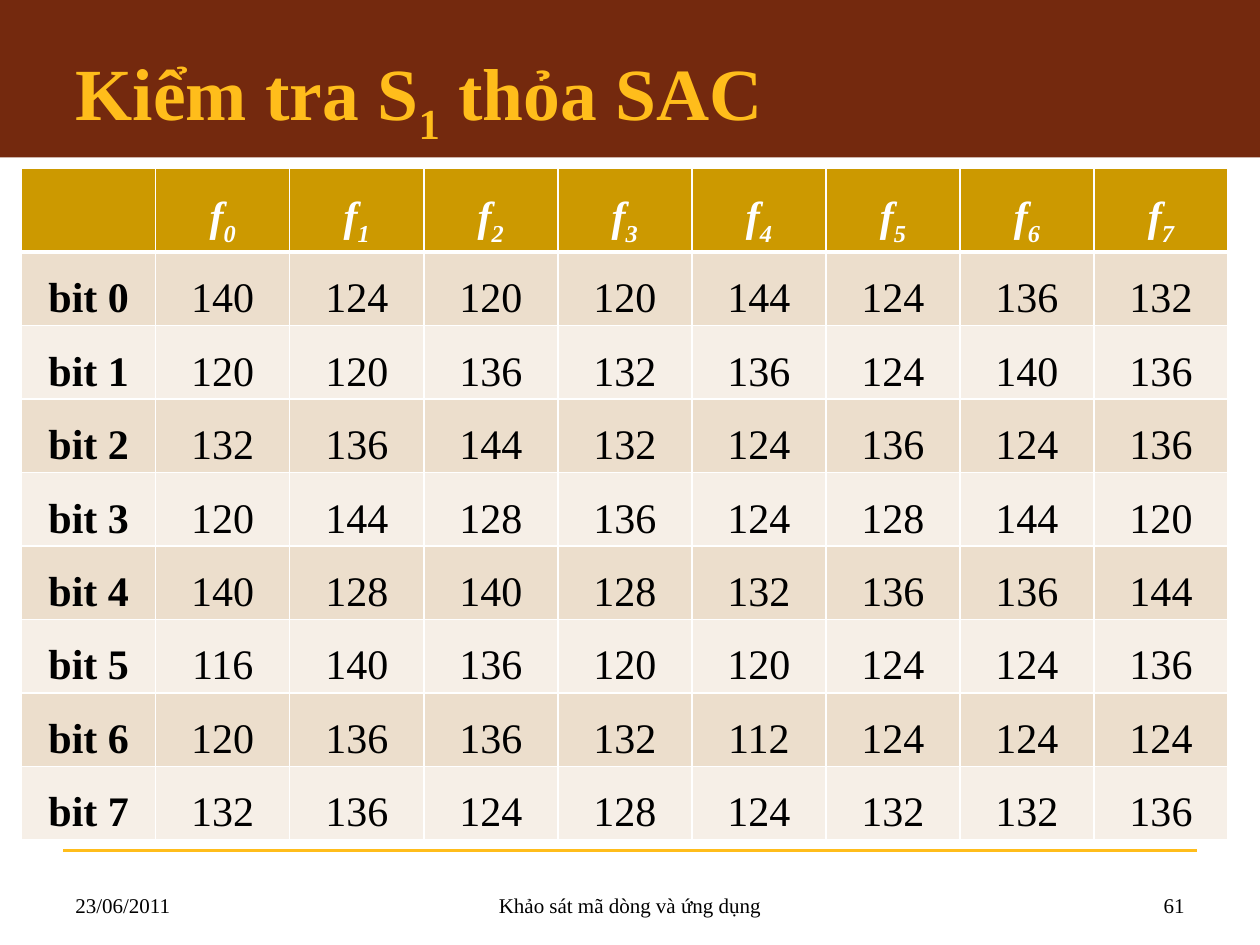
from lxml import etree
from pptx import Presentation
from pptx.dml.color import RGBColor
from pptx.enum.shapes import MSO_CONNECTOR, MSO_SHAPE
from pptx.enum.text import MSO_ANCHOR, MSO_AUTO_SIZE, PP_ALIGN
from pptx.oxml.ns import qn
from pptx.util import Pt

LEFT, MID, RIGHT = PP_ALIGN.LEFT, PP_ALIGN.CENTER, PP_ALIGN.RIGHT
BOTTOM, CENTER = MSO_ANCHOR.BOTTOM, MSO_ANCHOR.MIDDLE
NO_FIT = MSO_AUTO_SIZE.NONE
RECT, LINE = MSO_SHAPE.RECTANGLE, MSO_CONNECTOR.STRAIGHT

FONT = "Times New Roman"
HEX = {
    "band": "74290E", "gold": "FFBD1B", "head": "CC9900",
    "odd": "ECDECC", "even": "F6EFE7", "white": "FFFFFF", "black": "000000",
}

# Counts per input bit (rows) and output function (columns)
COUNTS = [
    [140, 124, 120, 120, 144, 124, 136, 132],
    [120, 120, 136, 132, 136, 124, 140, 136],
    [132, 136, 144, 132, 124, 136, 124, 136],
    [120, 144, 128, 136, 124, 128, 144, 120],
    [140, 128, 140, 128, 132, 136, 136, 144],
    [116, 140, 136, 120, 120, 124, 124, 136],
    [120, 136, 136, 132, 112, 124, 124, 124],
    [132, 136, 124, 128, 124, 132, 132, 136],
]
COL, HEAD_H, ROW_H = 76.6, 48, 42

FOOTER = [
    ("23/06/2011", 36, 168, LEFT),
    ("Khảo sát mã dòng và ứng dụng", 246, 228, MID),
    ("61", 516, 168, RIGHT),
]


def color(name):
    return RGBColor.from_string(HEX[name])


def put(obj, values):
    for key, value in values.items():
        setattr(obj, key, value)


def write(para, parts, size, tint, bold=False, italic=False):
    """Add runs to a paragraph; every second part is a subscript."""
    for i, text in enumerate(parts):
        run = para.add_run()
        run.text = text
        put(run.font, {"name": FONT, "size": Pt(size), "bold": bold, "italic": italic})
        run.font.color.rgb = color(tint)
        if i % 2:
            run.font._element.set("baseline", "-25000")


def add_band(slide, title):
    band = slide.shapes.add_shape(RECT, 0, 0, Pt(720), Pt(90))
    band.shadow.inherit = False
    band.fill.solid()
    band.fill.fore_color.rgb = color("band")
    band.line.fill.background()
    title.element.addprevious(band.element)  # keep the band behind the title


def add_rule(slide):
    rule = slide.shapes.add_connector(LINE, Pt(36), Pt(486), Pt(684), Pt(486))
    rule.line.color.rgb = color("gold")
    rule.line.width = Pt(1.5)
    etree.SubElement(rule.element.spPr, qn("a:effectLst"))


def set_title(title, parts):
    put(title, {"left": Pt(36), "top": Pt(21.6), "width": Pt(648), "height": Pt(68.4)})
    frame = title.text_frame
    put(frame, {"auto_size": NO_FIT, "vertical_anchor": CENTER, "word_wrap": True})
    para = frame.paragraphs[0]
    para.alignment = LEFT
    write(para, parts, 42, "gold", bold=True)


def set_edges(cell, widths):
    """Draw white cell borders; widths maps a side (L, R, T, B) to points."""
    props = cell._tc.get_or_add_tcPr()
    for i, (side, width) in enumerate(widths.items()):
        edge = etree.Element(qn("a:ln" + side), w=str(Pt(width)))
        fill = etree.SubElement(edge, qn("a:solidFill"))
        etree.SubElement(fill, qn("a:srgbClr"), val=HEX["white"])
        props.insert(i, edge)


def set_cell(cell, parts, fill, edges, **style):
    put(cell, {"margin_left": Pt(5), "margin_right": Pt(5),
               "margin_top": 0, "margin_bottom": 0})
    cell.fill.solid()
    cell.fill.fore_color.rgb = color(fill)
    set_edges(cell, edges)
    para = cell.text_frame.paragraphs[0]
    put(para, {"alignment": MID, "line_spacing": 1.5, "space_after": Pt(10)})
    write(para, parts, 24, **style)


def add_grid(slide):
    rows, cols = len(COUNTS) + 1, len(COUNTS[0]) + 1
    table = slide.shapes.add_table(
        rows, cols, Pt(12.4), Pt(96), Pt(COL * cols),
        Pt(HEAD_H + ROW_H * len(COUNTS))).table
    table.horz_banding = False
    for col in table.columns:
        col.width = Pt(COL)
    for r, row in enumerate(table.rows):
        row.height = Pt(ROW_H if r else HEAD_H)

    # Header row
    edges = {"L": 1, "R": 1, "T": 1, "B": 3}
    for c in range(cols):
        parts = ["f", str(c - 1)] if c else []
        set_cell(table.cell(0, c), parts, "head", edges,
                 tint="white", bold=True, italic=True)

    # Bit rows
    for r, counts in enumerate(COUNTS, 1):
        edges = {"L": 1, "R": 1, "T": 3 if r == 1 else 1, "B": 1}
        for c, text in enumerate([f"bit {r - 1}", *map(str, counts)]):
            set_cell(table.cell(r, c), [text], "odd" if r % 2 else "even",
                     edges, tint="black", bold=c == 0)


def add_note(slide, text, left, width, align):
    frame = slide.shapes.add_textbox(Pt(left), Pt(492), Pt(width), Pt(36)).text_frame
    put(frame, {"word_wrap": True, "vertical_anchor": BOTTOM})
    para = frame.paragraphs[0]
    para.alignment = align
    write(para, [text], 12, "black")


def main():
    deck = Presentation()
    put(deck, {"slide_width": Pt(720), "slide_height": Pt(540)})
    slide = deck.slides.add_slide(deck.slide_layouts[5])
    title = slide.shapes.title

    # Heading and frame
    add_band(slide, title)
    add_rule(slide)
    set_title(title, ["Kiểm tra S", "1", " thỏa SAC"])

    # Content and footer
    add_grid(slide)
    for note in FOOTER:
        add_note(slide, *note)
    deck.save("out.pptx")


if __name__ == "__main__":
    main()
